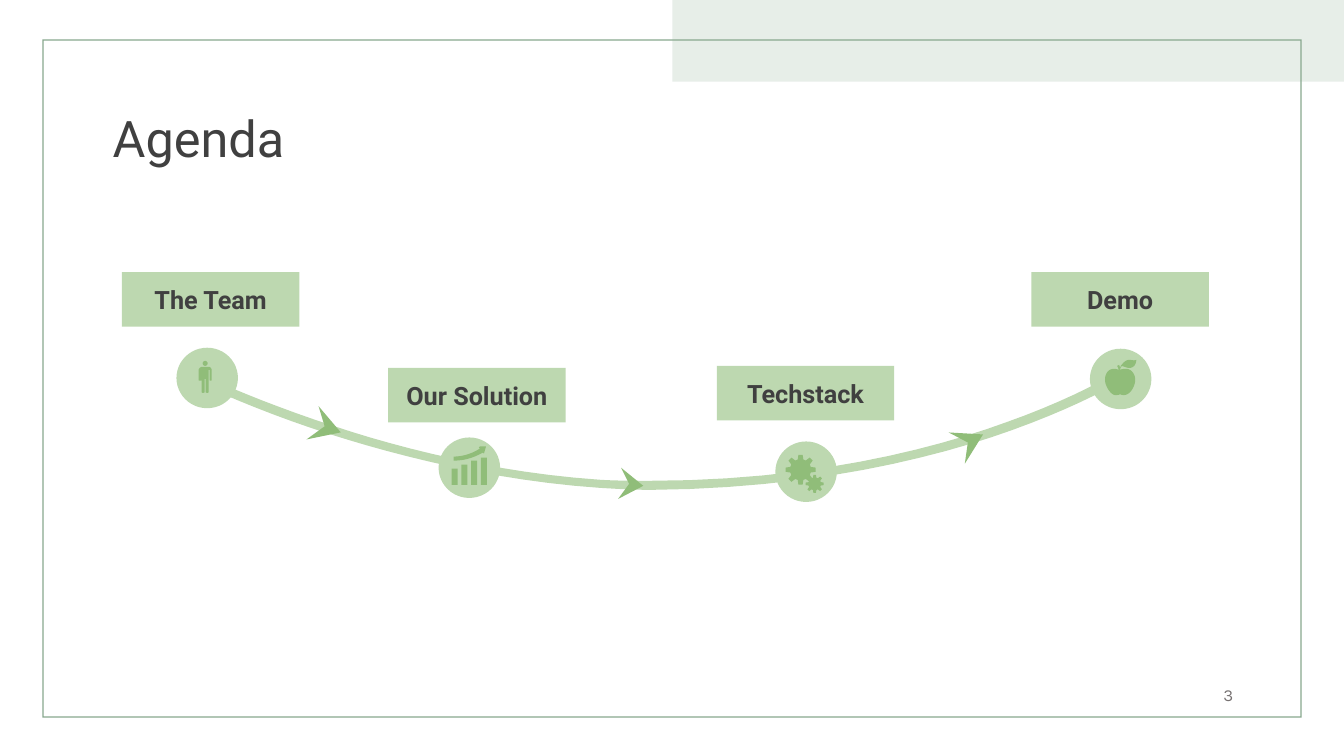
"""Build the agenda slide: four stops along a curved path."""
from math import cos, pi, sin

from pptx import Presentation
from pptx.dml.color import RGBColor
from pptx.enum.shapes import MSO_SHAPE
from pptx.enum.text import MSO_ANCHOR, PP_ALIGN
from pptx.util import Inches, Pt

PALE, LEAF, DARK = "BDD8B0", "90BD79", "404040"

TITLE = dict(size=Pt(36), name="Roboto")
LABEL = dict(size=Pt(18), name="Roboto", bold=True)
NUMBER = dict(size=Pt(12), name="Karla")

STOPS = [
    ("The Team", (1.21, 2.7), (1.75, 3.45)),
    ("Our Solution", (3.85, 3.65), (4.35, 4.34)),
    ("Techstack", (7.11, 3.63), (7.69, 4.38)),
    ("Demo", (10.23, 2.7), (10.81, 3.46)),
]
LABEL_SIZE, CIRCLE_SIZE = (1.76, 0.54), (0.61, 0.6)

# Outlines start at a point; pairs are straight lines, sextuples are cubic curves
ROAD = [
    (11.21, 3.62), (11.28, 3.68), (11.26, 3.7, 10.84, 3.98, 10.03, 4.27),
    (9.28, 4.54, 8.05, 4.85, 6.45, 4.86), (6.28, 4.86, 6.11, 4.85, 5.95, 4.84),
    (4.91, 4.77, 3.94, 4.52, 3.28, 4.31), (2.44, 4.04, 1.89, 3.76, 1.88, 3.76),
    (1.94, 3.69), (1.94, 3.69, 2.49, 3.96, 3.32, 4.23),
    (3.98, 4.45, 4.93, 4.69, 5.95, 4.76), (6.12, 4.77, 6.28, 4.77, 6.45, 4.77),
    (8.03, 4.77, 9.24, 4.46, 9.98, 4.19), (10.77, 3.91, 11.2, 3.62, 11.21, 3.62),
]
ARROWS = [
    [(3.16, 4.03), (3.22, 4.23), (3.04, 4.36), (3.38, 4.29)],
    [(6.16, 4.64), (6.24, 4.8), (6.13, 4.95), (6.38, 4.82)],
    [(9.41, 4.29), (9.6, 4.39), (9.57, 4.6), (9.75, 4.31)],
]
APPLE = [
    [(11.05, 3.66), (10.99, 3.66, 10.96, 3.71, 10.96, 3.77),
     (10.96, 3.83, 11.02, 3.92, 11.06, 3.92), (11.08, 3.92, 11.1, 3.92, 11.11, 3.91),
     (11.12, 3.92, 11.14, 3.92, 11.15, 3.92), (11.21, 3.92, 11.26, 3.83, 11.26, 3.77),
     (11.26, 3.71, 11.22, 3.66, 11.17, 3.66), (11.15, 3.66, 11.13, 3.66, 11.11, 3.67),
     (11.1, 3.67, 11.07, 3.66, 11.05, 3.66)],
    [(11.2, 3.57), (11.15, 3.57, 11.12, 3.63, 11.12, 3.63),
     (11.14, 3.63, 11.17, 3.65, 11.2, 3.65), (11.27, 3.65, 11.27, 3.57, 11.27, 3.57),
     (11.25, 3.58, 11.22, 3.57, 11.2, 3.57)],
    [(11.13, 3.62), (11.12, 3.62), (11.11, 3.65), (11.1, 3.62), (11.08, 3.63),
     (11.09, 3.65, 11.1, 3.67, 11.1, 3.7), (11.12, 3.7), (11.11, 3.66)],
]
GROWTH = [
    (4.76, 4.43), (4.75, 4.44), (4.76, 4.45), (4.73, 4.47, 4.63, 4.53, 4.5, 4.53),
    (4.5, 4.57), (4.61, 4.57, 4.7, 4.54, 4.79, 4.49), (4.8, 4.5), (4.82, 4.43),
]
PERSON = [
    (2, 3.64), (1.99, 3.64, 1.97, 3.66, 1.97, 3.67), (1.97, 3.77),
    (1.97, 3.78, 2, 3.78, 2, 3.77), (2, 3.89), (2, 3.9, 2.03, 3.9, 2.03, 3.89),
    (2.03, 3.76), (2.04, 3.76), (2.04, 3.89), (2.04, 3.9, 2.07, 3.9, 2.07, 3.89),
    (2.07, 3.67), (2.08, 3.67), (2.08, 3.77), (2.08, 3.78, 2.1, 3.78, 2.1, 3.77),
    (2.1, 3.67), (2.1, 3.66, 2.09, 3.64, 2.07, 3.64),
]
HEAD = (2.01, 3.58, 0.05, 0.05)
BAR_TOPS, BAR_BASE = [4.65, 4.61, 4.57, 4.54], 4.81
GEARS = [(7.94, 4.66, 0.15), (8.08, 4.8, 0.09)]


def color(hex_text):
    return RGBColor.from_string(hex_text)


def paint(s, fill):
    s.shadow.inherit = False
    s.fill.solid()
    s.fill.fore_color.rgb = color(fill)
    s.line.fill.background()
    return s


def preset(kind, box, fill):
    return paint(shapes.add_shape(kind, *map(Inches, box)), fill)


def write(s, text, font, fill=DARK, align=PP_ALIGN.LEFT):
    tf = s.text_frame
    tf.word_wrap = True
    tf.vertical_anchor = MSO_ANCHOR.MIDDLE
    p = tf.paragraphs[0]
    p.alignment = align
    r = p.add_run()
    r.text = text
    for key, value in font.items():
        setattr(r.font, key, value)
    r.font.color.rgb = color(fill)


def outline(steps, fill, pieces=12):
    points = [steps[0]]
    for step in steps[1:]:
        if len(step) == 2:
            points.append(step)
            continue
        knots = [points[-1], step[:2], step[2:4], step[4:]]
        for i in range(1, pieces + 1):
            t = i / pieces
            weights = ((1 - t) ** 3, 3 * t * (1 - t) ** 2, 3 * t * t * (1 - t), t ** 3)
            points.append(tuple(sum(w * k[axis] for w, k in zip(weights, knots))
                                for axis in (0, 1)))
    emu = [(Inches(x), Inches(y)) for x, y in points]
    builder = shapes.build_freeform(*emu[0], scale=1.0)
    builder.add_line_segments(emu[1:], close=True)
    paint(builder.convert_to_shape(), fill)


def gear(x, y, radius, teeth=8):
    corners = [(-0.27, 0.7), (-0.14, 1), (0.14, 1), (0.27, 0.7)]
    turns = [(2 * pi * i / teeth + a, radius * k)
             for i in range(teeth) for a, k in corners]
    outline([(x + d * sin(a), y - d * cos(a)) for a, d in turns], LEAF)


prs = Presentation()
prs.slide_width, prs.slide_height = Inches(13.33), Inches(7.5)
shapes = prs.slides.add_slide(prs.slide_layouts[6]).shapes

preset(MSO_SHAPE.RECTANGLE, (6.67, 0, 6.67, 0.81), "E7EEE8")
frame = preset(MSO_SHAPE.FRAME, (0.42, 0.39, 12.49, 6.73), "88A88E")
frame.adjustments[0] = 0.002
write(shapes.add_textbox(*map(Inches, (1.02, 0.53, 11.5, 1.67))), "Agenda", TITLE)
write(shapes.add_textbox(*map(Inches, (9.33, 6.69, 3, 0.4))), "3", NUMBER,
      "767171", PP_ALIGN.RIGHT)

outline(ROAD, PALE)
for name, label_at, circle_at in STOPS:
    preset(MSO_SHAPE.OVAL, circle_at + CIRCLE_SIZE, PALE)
    label = preset(MSO_SHAPE.RECTANGLE, label_at + LABEL_SIZE, PALE)
    write(label, name, LABEL, align=PP_ALIGN.CENTER)

for steps in ARROWS + APPLE + [GROWTH, PERSON]:
    outline(steps, LEAF)
preset(MSO_SHAPE.OVAL, HEAD, LEAF)
for i, top in enumerate(BAR_TOPS):
    preset(MSO_SHAPE.RECTANGLE, (4.48 + 0.097 * i, top, 0.06, BAR_BASE - top), LEAF)
for place in GEARS:
    gear(*place)

prs.save("out.pptx")
